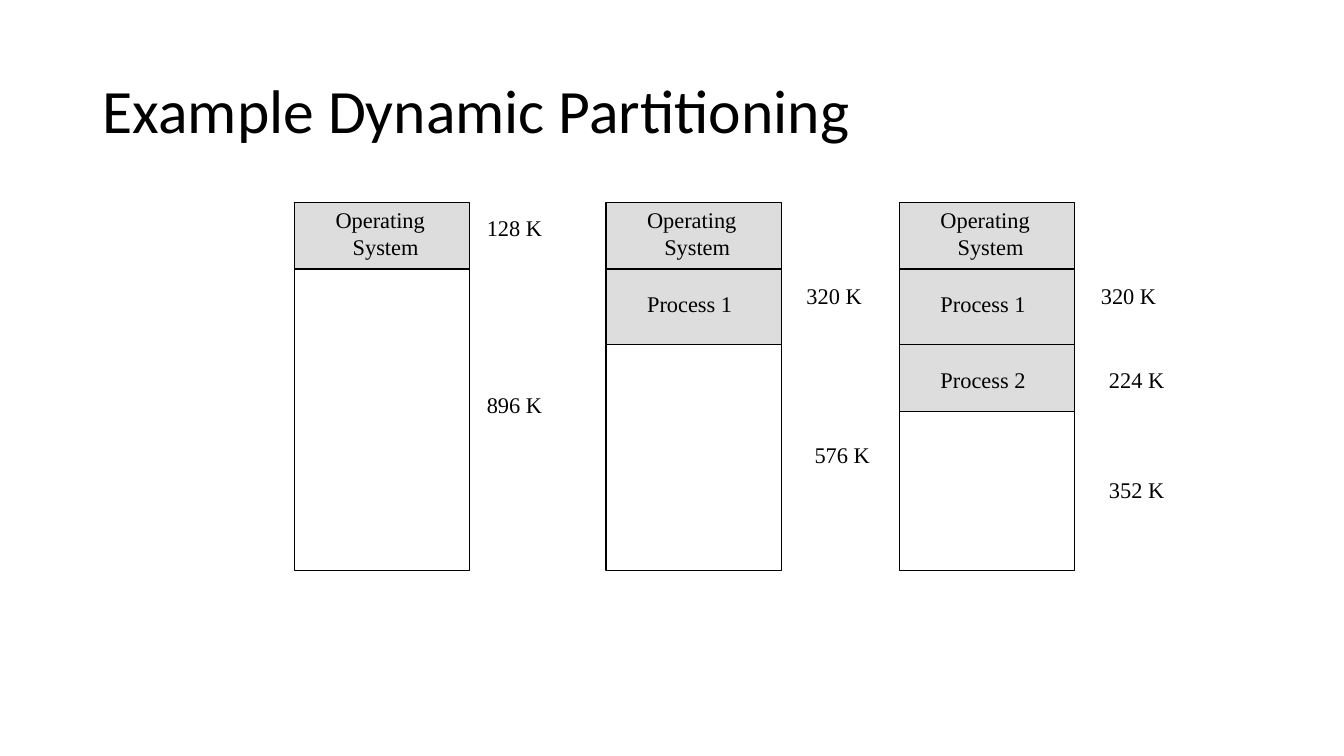
from pptx import Presentation
from pptx.dml.color import RGBColor
from pptx.enum.shapes import MSO_CONNECTOR, MSO_SHAPE
from pptx.enum.text import MSO_ANCHOR
from pptx.oxml.ns import qn
from pptx.util import Inches, Pt
from lxml.etree import SubElement

# Content: bars from left to right, with blocks from the top down
TITLE = "Example Dynamic Partitioning"
SYSTEM = ["Operating", "System"]
BARS = [
    {"left": 2.92, "blocks": [SYSTEM],
     "sizes": [("128 K", 1.81, 2.08), ("896 K", 1.81, 3.83)]},
    {"left": 6.01, "blocks": [SYSTEM, ["Process 1"]],
     "sizes": [("320 K", 1.89, 2.75), ("576 K", 1.97, 4.33)]},
    {"left": 8.92, "blocks": [SYSTEM, ["Process 1"], ["Process 2"]],
     "sizes": [("320 K", 1.9, 2.75), ("224 K", 1.98, 3.58), ("352 K", 1.98, 4.67)]},
]

# Geometry in inches
BAR_TOP, BAR_WIDTH, BAR_HEIGHT = 2.01, 1.74, 3.65
BLOCK_BOTTOMS = [2.67, 3.42, 4.08]
BLOCK_TEXT_TOPS = [2.0, 2.83, 3.58]
BLOCK_TEXT_WIDTHS = [1.1, 1.06, 1.06]
BLOCK_TEXT_OFFSET = 0.31
SYSTEM_INDENT = 0.17
BLACK, GRAY = "000000", "DDDDDD"

presentation = Presentation()
presentation.slide_width, presentation.slide_height = Inches(13.33), Inches(7.5)
slide = presentation.slides.add_slide(presentation.slide_layouts[6])


def color(hex_string):
    return RGBColor.from_string(hex_string)


def add_text(lines, left, top, width, height, size=16, font="Times New Roman",
             wrap=False, anchor=MSO_ANCHOR.TOP, spacing=None, indent=0):
    """Add lines of text; the indent applies to every line after the first."""
    shape = slide.shapes.add_textbox(*map(Inches, (left, top, width, height)))
    frame = shape.text_frame
    frame.word_wrap, frame.vertical_anchor = wrap, anchor
    for number, line in enumerate(lines):
        paragraph = frame.add_paragraph() if number else frame.paragraphs[0]
        paragraph.line_spacing = spacing
        if number and indent:
            paragraph._p.get_or_add_pPr().set("marL", str(Inches(indent)))
        run = paragraph.add_run()
        run.text = line
        run.font.size, run.font.name = Pt(size), font
        run.font.color.rgb = color(BLACK)


def add_rectangle(left, top, width, height, fill=None, line=None):
    shape = slide.shapes.add_shape(
        MSO_SHAPE.RECTANGLE, *map(Inches, (left, top, width, height)))
    shape.shadow.inherit = False
    if fill:
        shape.fill.solid()
        shape.fill.fore_color.rgb = color(fill)
    else:
        shape.fill.background()
    if line:
        shape.line.color.rgb, shape.line.width = color(line), Pt(1)
    else:
        shape.line.fill.background()


def add_divider(left, top, width):
    connector = slide.shapes.add_connector(
        MSO_CONNECTOR.STRAIGHT, *map(Inches, (left, top, left + width, top)))
    connector.line.color.rgb, connector.line.width = color(BLACK), Pt(1)
    SubElement(connector._element.spPr, qn("a:effectLst"))


# Title
add_text([TITLE], 0.92, 0.4, 11.5, 1.45, size=44, font="Calibri",
         wrap=True, anchor=MSO_ANCHOR.MIDDLE, spacing=0.9)

# Memory bars: used area, outline, blocks and sizes
for bar in BARS:
    left, blocks = bar["left"], bar["blocks"]
    used_height = BLOCK_BOTTOMS[len(blocks) - 1] - BAR_TOP
    add_rectangle(left, BAR_TOP, BAR_WIDTH, used_height, fill=GRAY)
    add_rectangle(left, BAR_TOP, BAR_WIDTH, BAR_HEIGHT, line=BLACK)
    for lines, bottom, top, width in zip(
            blocks, BLOCK_BOTTOMS, BLOCK_TEXT_TOPS, BLOCK_TEXT_WIDTHS):
        add_divider(left, bottom, BAR_WIDTH)
        add_text(lines, left + BLOCK_TEXT_OFFSET, top, width,
                 0.1 + 0.27 * len(lines), indent=SYSTEM_INDENT)
    for label, offset, top in bar["sizes"]:
        add_text([label], left + offset, top, 0.75, 0.37)

presentation.save("out.pptx")
